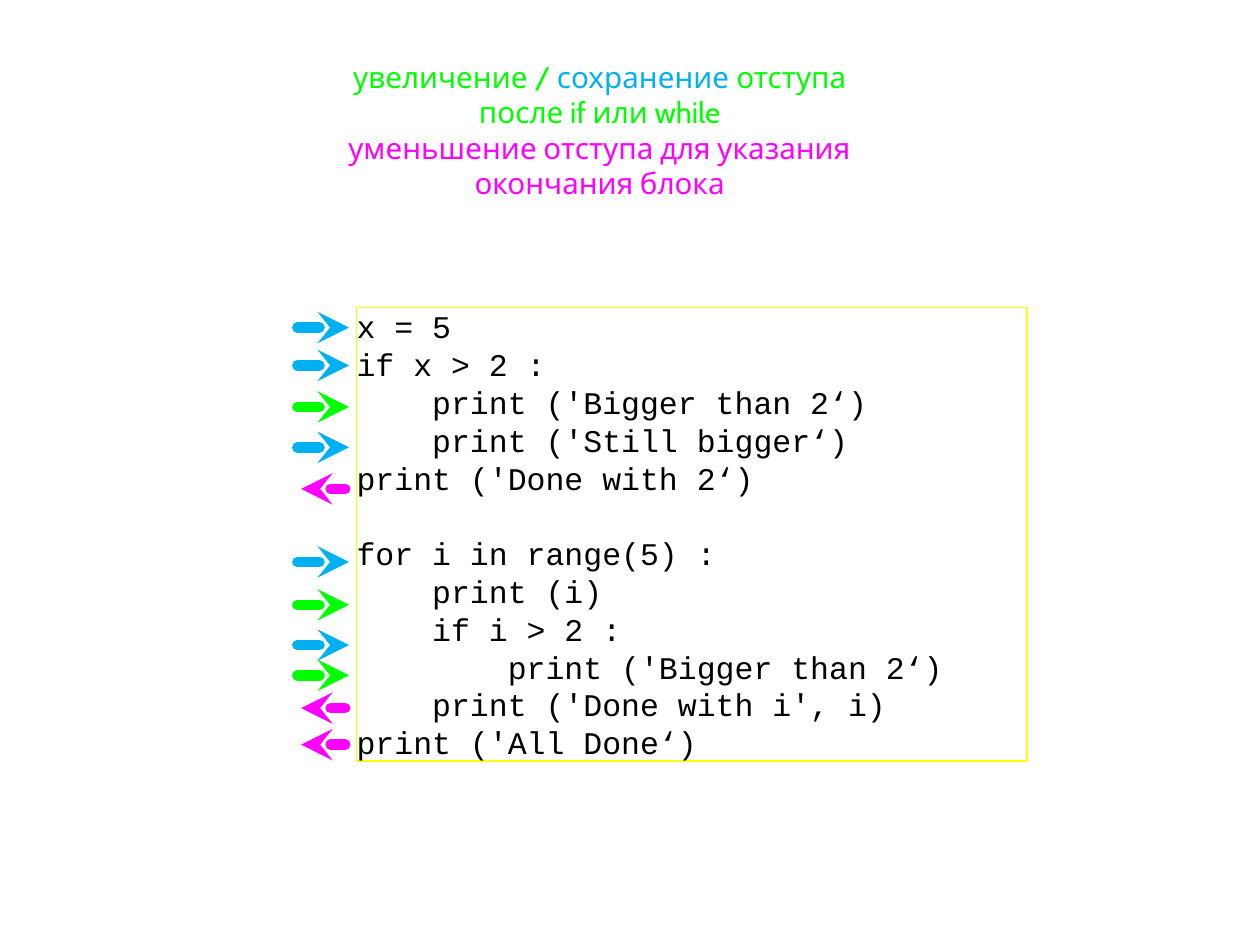
from lxml.etree import SubElement
from pptx import Presentation
from pptx.dml.color import RGBColor
from pptx.enum.shapes import MSO_CONNECTOR as Connector, MSO_SHAPE as Shape
from pptx.enum.text import MSO_ANCHOR as Anchor, MSO_AUTO_SIZE as AutoSize, PP_ALIGN as Align
from pptx.oxml.ns import qn
from pptx.util import Inches, Pt

BLACK = RGBColor(0, 0, 0)
YELLOW = RGBColor(0xFF, 0xFF, 0)
GREEN = RGBColor(0, 0xFF, 0)
BLUE = RGBColor(0, 0xB0, 0xF0)
PINK = RGBColor(0xFF, 0, 0xFF)

# Each line: code, arrow colour, arrow height; None leaves a one-line gap
CODE = [
    ("x = 5", BLUE, 2.6),
    ("if x > 2 :", BLUE, 2.9),
    ("    print ('Bigger than 2‘)", GREEN, 3.23),
    ("    print ('Still bigger‘)", BLUE, 3.55),
    ("print ('Done with 2‘)", PINK, 3.88),
    None,
    ("for i in range(5) :", BLUE, 4.46),
    ("    print (i)", GREEN, 4.8),
    ("    if i > 2 :", BLUE, 5.12),
    ("        print ('Bigger than 2‘)", GREEN, 5.36),
    ("    print ('Done with i', i)", PINK, 5.62),
    ("print ('All Done‘)", PINK, 5.91),
]
TITLE = [
    [("увеличение / ", GREEN), ("сохранение ", BLUE), ("отступа после if или while", GREEN)],
    [("уменьшение отступа для указания окончания блока", PINK)],
]


def write(para, spans, *, font, size, pitch, align=Align.LEFT, before=0):
    """Fill a paragraph with (text, colour) spans."""
    para.alignment = align
    para.line_spacing = Pt(pitch)
    para.space_before = Pt(before)
    for text, color in spans:
        span = para.add_run()
        span.text = text
        span.font.name = font
        span.font.size = Pt(size)
        span.font.color.rgb = color


class IndentSlide:
    title_style = dict(font="Cabin", size=16.9, pitch=20.3, align=Align.CENTER)
    code_style = dict(font="Courier New", size=18, pitch=21.6)

    def __init__(self, deck):
        self.page = deck.slides.add_slide(deck.slide_layouts[5])

    def frame(self, shape, bottom=0.0):
        frame = shape.text_frame
        frame.auto_size = AutoSize.NONE
        frame.word_wrap = True
        frame.vertical_anchor = Anchor.MIDDLE
        frame.margin_left = frame.margin_top = frame.margin_right = 0
        frame.margin_bottom = Inches(bottom)
        return frame

    def title(self, lines, left, top, width, height):
        box = self.page.shapes.title
        box.left, box.top, box.width, box.height = map(Inches, (left, top, width, height))
        frame = self.frame(box, bottom=0.28)
        for number, spans in enumerate(lines):
            para = frame.add_paragraph() if number else frame.paragraphs[0]
            write(para, spans, **self.title_style)

    def code(self, lines, left, top, width, height):
        box = self.page.shapes.add_shape(
            Shape.RECTANGLE, *map(Inches, (left, top, width, height)))
        box.shadow.inherit = False
        box.fill.background()
        box.line.color.rgb = YELLOW
        box.line.width = Pt(1)
        frame = self.frame(box)
        gap = 0
        for number, line in enumerate(lines):
            if line is None:
                gap = self.code_style["pitch"]
                continue
            para = frame.add_paragraph() if number else frame.paragraphs[0]
            write(para, [(line[0], BLACK)], before=gap, **self.code_style)
            gap = 0

    def arrow(self, color, y):
        """Pink arrows point left (dedent), the others point right."""
        tip, end = (2.39, 2.74) if color == PINK else (2.77, 2.36)
        line = self.page.shapes.add_connector(
            Connector.STRAIGHT, *map(Inches, (tip, y, end, y)))
        line.line.color.rgb = color
        line.line.width = Pt(6)
        outline = line.line._get_or_add_ln()
        outline.set("cap", "rnd")
        SubElement(outline, qn("a:headEnd"), type="stealth")
        SubElement(line._element.spPr, qn("a:effectLst"))


def main():
    deck = Presentation()
    deck.slide_width, deck.slide_height = Inches(10), Inches(7.5)
    slide = IndentSlide(deck)

    # Heading and code listing
    slide.title(TITLE, 2.55, 0.36, 4.42, 1.62)
    slide.code(CODE, 2.83, 2.44, 5.32, 3.6)

    # Indent arrows beside the code
    for line in filter(None, CODE):
        slide.arrow(*line[1:])

    deck.save("out.pptx")


if __name__ == "__main__":
    main()
